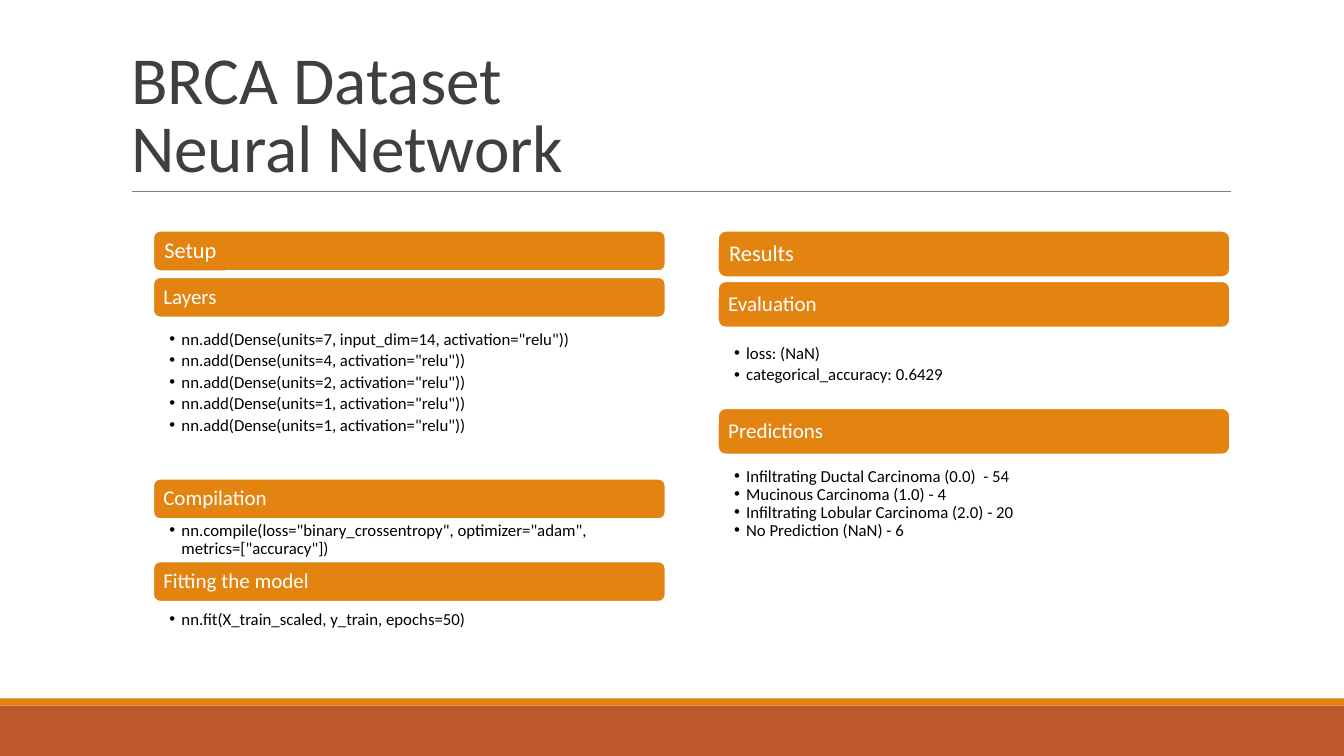
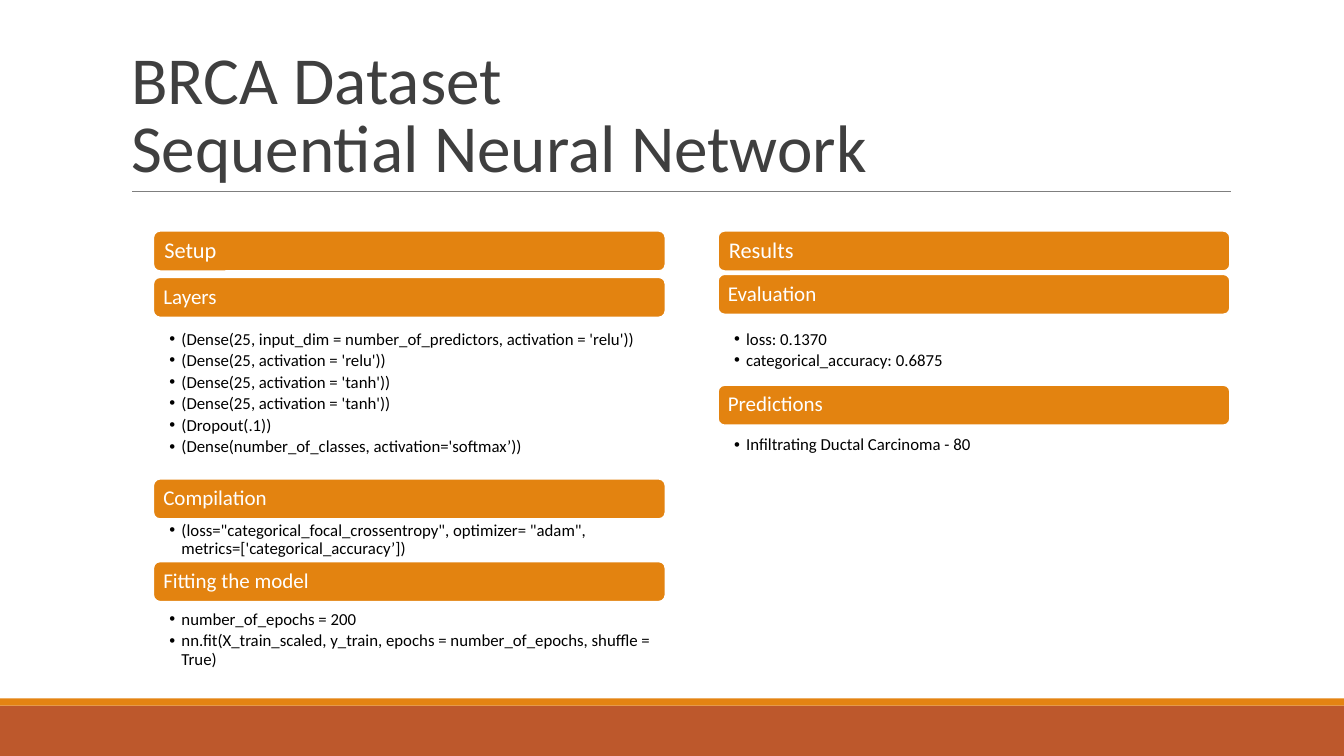
"""Build two slides that compare neural networks on the BRCA dataset."""
from copy import deepcopy

from lxml.etree import SubElement
from pptx import Presentation
from pptx.dml.color import RGBColor
from pptx.enum.shapes import MSO_CONNECTOR, MSO_SHAPE
from pptx.enum.text import MSO_ANCHOR, MSO_AUTO_SIZE, PP_ALIGN
from pptx.oxml.ns import qn
from pptx.util import Inches, Pt

RUST = RGBColor(0xBD, 0x58, 0x2C)
ORANGE = RGBColor(0xE4, 0x83, 0x12)
HEADER_ORANGE = RGBColor(0xE3, 0x83, 0x10)
GREY = RGBColor(0x7F, 0x7F, 0x7F)
DARK = RGBColor(0x3F, 0x3F, 0x3F)
BLACK = RGBColor(0, 0, 0)
WHITE = RGBColor(0xFF, 0xFF, 0xFF)
FONT = "Calibri"

WIDTH, HEIGHT = 13.33, 7.5
BAND_TOP, STRIPE = 7, 0.07
SETUP_LEFT, RESULTS_LEFT, COLUMN_WIDTH = 1.52, 7.12, 5.08
COLUMN_TOP, COLUMN_BOTTOM = 2.29, 6.69
LISTS_PER_SLIDE = 5


def setup_column(layers, compilation, fitting):
    """Return the left column; each section is heading, top, list gap, spacing, items."""
    return {"heading": "Setup", "left": SETUP_LEFT, "bar": 0.4, "sections": [
        ("Layers", 2.75, 0.11, 2.4, layers),
        ("Compilation", 4.75, 0.01, 2.4, compilation),
        ("Fitting the model", 5.57, 0.07, 2.4, fitting)]}


SLIDES = [
    ("BRCA Dataset\nNeural Network", [
        setup_column(
            ['nn.add(Dense(units=7, input_dim=14, activation="relu"))',
             'nn.add(Dense(units=4, activation="relu"))',
             'nn.add(Dense(units=2, activation="relu"))',
             'nn.add(Dense(units=1, activation="relu"))',
             'nn.add(Dense(units=1, activation="relu"))'],
            ['nn.compile(loss="binary_crossentropy", optimizer="adam", '
             'metrics=["accuracy"])'],
            ["nn.fit(X_train_scaled, y_train, epochs=50)"]),
        {"heading": "Results", "left": RESULTS_LEFT, "bar": 0.46, "sections": [
            ("Evaluation", 2.79, 0.15, 2.4,
             ["loss: (NaN)", "categorical_accuracy: 0.6429"]),
            ("Predictions", 4.05, 0.11, 0,
             ["Infiltrating Ductal Carcinoma (0.0)  - 54",
              "Mucinous Carcinoma (1.0) - 4",
              "Infiltrating Lobular Carcinoma (2.0) - 20",
              "No Prediction (NaN) - 6"])]},
    ]),
    ("BRCA Dataset\vSequential Neural Network", [
        setup_column(
            ["(Dense(25, input_dim = number_of_predictors, activation = 'relu'))",
             "(Dense(25, activation = 'relu'))",
             "(Dense(25, activation = 'tanh'))",
             "(Dense(25, activation = 'tanh'))",
             "(Dropout(.1))",
             "(Dense(number_of_classes, activation='softmax’))"],
            ['(loss="categorical_focal_crossentropy", optimizer= "adam", '
             "metrics=['categorical_accuracy’])"],
            ["number_of_epochs = 200",
             "nn.fit(X_train_scaled, y_train, epochs = number_of_epochs, "
             "shuffle = True)"]),
        {"heading": "Results", "left": RESULTS_LEFT, "bar": 0.4, "sections": [
            ("Evaluation", 2.72, 0.14, 2.4,
             ["loss: 0.1370", "categorical_accuracy: 0.6875"]),
            ("Predictions", 3.82, 0.09, 2.4,
             ["Infiltrating Ductal Carcinoma - 80"])]},
    ]),
]


def place(shape, left, top, width, height):
    shape.left, shape.top = Inches(left), Inches(top)
    shape.width, shape.height = Inches(width), Inches(height)


def set_insets(frame, left, top, right, bottom):
    frame.margin_left, frame.margin_top = Inches(left), Inches(top)
    frame.margin_right, frame.margin_bottom = Inches(right), Inches(bottom)


def style_paragraph(paragraph, size, color, spacing):
    paragraph.font.name, paragraph.font.size = FONT, Pt(size)
    paragraph.font.color.rgb = color
    paragraph.line_spacing = spacing
    paragraph.alignment = PP_ALIGN.LEFT


def add_bar(slide, preset, left, top, width, height, fill):
    bar = slide.shapes.add_shape(
        preset, Inches(left), Inches(top), Inches(width), Inches(height))
    bar.shadow.inherit = False
    bar.fill.solid()
    bar.fill.fore_color.rgb = fill
    bar.line.fill.background()
    return bar


def append_to_layout(layout, element):
    tree = layout.shapes.element
    element.xpath(".//p:cNvPr")[0].set("id", str(100 + len(tree)))
    tree.append(element)


def prepare_placeholders(layout):
    title, first_list = layout.placeholders[0], layout.placeholders[1]
    second_list = layout.placeholders[2]
    place(title, 1.2, 0.31, 11, 1.59)
    title.text_frame.vertical_anchor = MSO_ANCHOR.BOTTOM
    title.text_frame.auto_size = MSO_AUTO_SIZE.NONE
    for bullet_list in (first_list, second_list):
        set_insets(bullet_list.text_frame, 0.16, 0.02, 0.12, 0.02)
        bullet_list.text_frame.auto_size = MSO_AUTO_SIZE.NONE
    for extra in range(LISTS_PER_SLIDE - 2):
        element = deepcopy(first_list.element)
        element.xpath(".//p:ph")[0].set("idx", str(20 + extra))
        append_to_layout(layout, element)


def add_frame(slide):
    """Draw the footer bands and title rule, and hand them to the layout."""
    rule = slide.shapes.add_connector(
        MSO_CONNECTOR.STRAIGHT, Inches(1.31), Inches(1.9), Inches(12.21), Inches(1.9))
    rule.line.color.rgb, rule.line.width = GREY, Pt(0.75)
    SubElement(rule.element.spPr, qn("a:effectLst"))
    band = add_bar(slide, MSO_SHAPE.RECTANGLE, 0, BAND_TOP,
                   WIDTH, HEIGHT - BAND_TOP, RUST)
    stripe = add_bar(slide, MSO_SHAPE.RECTANGLE, 0, BAND_TOP - STRIPE,
                     WIDTH, STRIPE, ORANGE)
    for part in (rule, band, stripe):
        append_to_layout(slide.slide_layout, part.element)


def add_header(slide, text, left, top, height, size, inset):
    header = add_bar(slide, MSO_SHAPE.ROUNDED_RECTANGLE, left, top,
                     COLUMN_WIDTH, height, HEADER_ORANGE)
    header.line.color.rgb, header.line.width = WHITE, Pt(1.25)
    frame = header.text_frame
    set_insets(frame, inset, 0.06, inset, 0.06)
    frame.vertical_anchor = MSO_ANCHOR.MIDDLE
    frame.text = text
    style_paragraph(frame.paragraphs[0], size, WHITE, 0.9)


def fill_list(bullet_list, items, space_before):
    bullet_list.text_frame.text = "\n".join(items)
    for index, paragraph in enumerate(bullet_list.text_frame.paragraphs):
        style_paragraph(paragraph, 12, BLACK, 0.9)
        paragraph.space_before = Pt(space_before if index else 0)
        properties = paragraph._p.get_or_add_pPr()
        properties.set("marL", str(Inches(0.12)))
        properties.set("indent", str(-Inches(0.12)))


def add_column(slide, column, lists):
    left, bar, sections = column["left"], column["bar"], column["sections"]
    add_header(slide, column["heading"], left, COLUMN_TOP, bar, 16, 0.09)
    ends = [section[1] for section in sections[1:]] + [COLUMN_BOTTOM]
    for (heading, top, gap, spacing, items), end in zip(sections, ends):
        add_header(slide, heading, left, top, bar, 15, 0.08)
        bullet_list = next(lists)
        list_top = top + bar + gap
        place(bullet_list, left, list_top, COLUMN_WIDTH, end - list_top)
        fill_list(bullet_list, items, spacing)


def main():
    deck = Presentation()
    deck.slide_width, deck.slide_height = Inches(WIDTH), Inches(HEIGHT)
    layout = deck.slide_layouts.get_by_name("Two Content")
    prepare_placeholders(layout)
    for number, (heading, columns) in enumerate(SLIDES):
        slide = deck.slides.add_slide(layout)
        if number == 0:
            add_frame(slide)
        title, *bodies = slide.placeholders
        title.text_frame.text = heading
        for paragraph in title.text_frame.paragraphs:
            style_paragraph(paragraph, 48, DARK, 0.85)
        lists = iter(bodies)
        for column in columns:
            add_column(slide, column, lists)
    deck.save("out.pptx")


if __name__ == "__main__":
    main()
